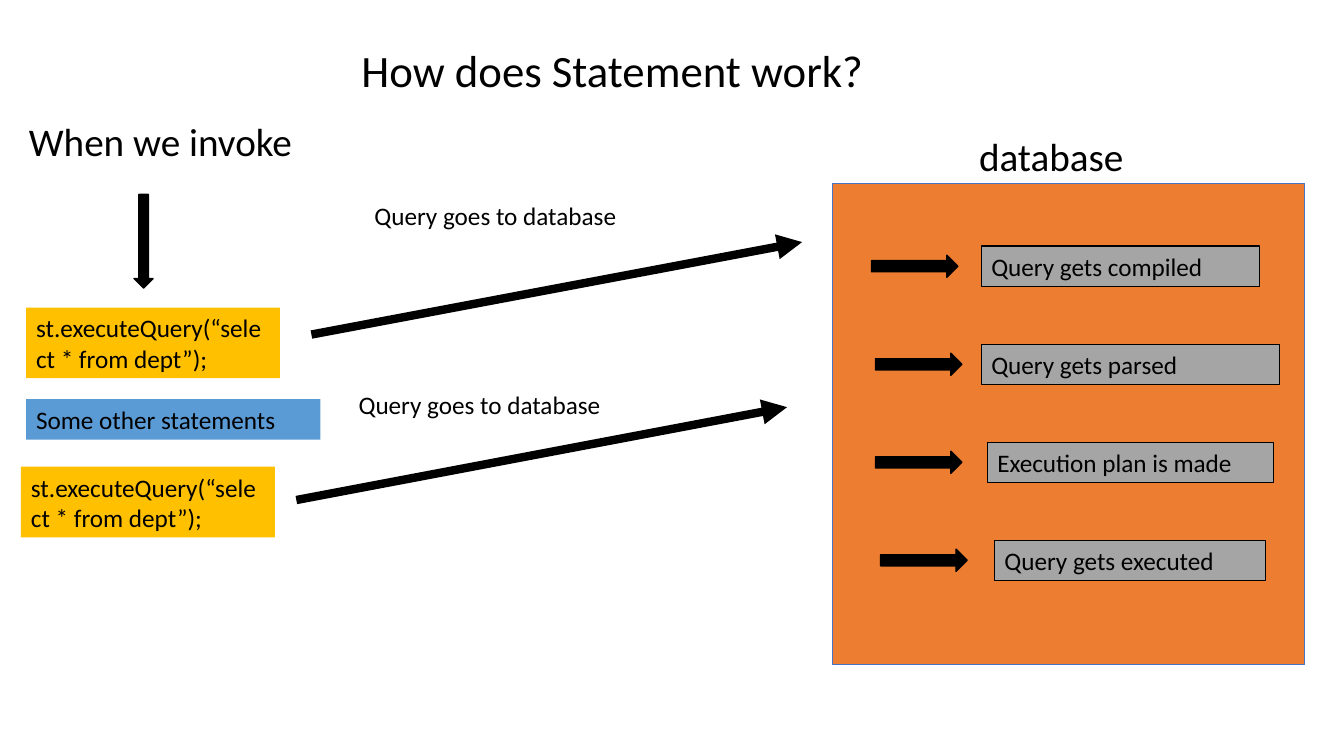
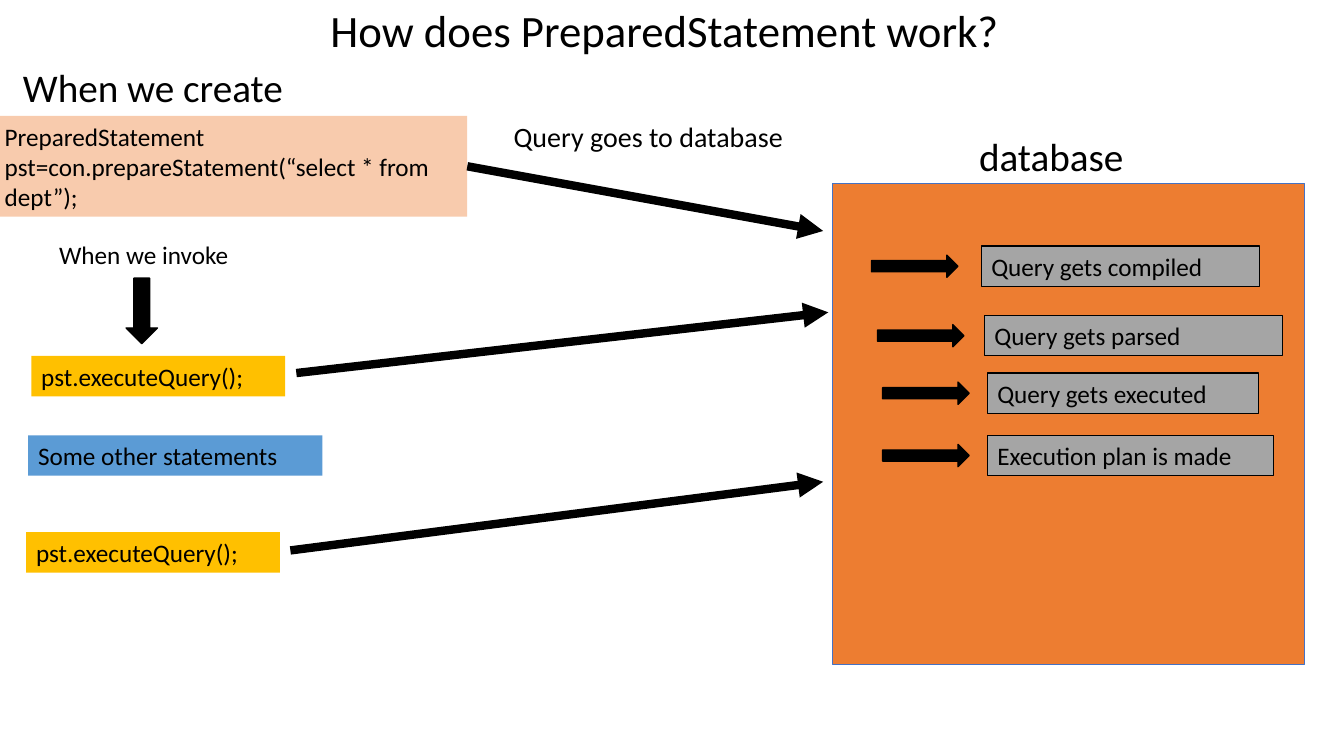
from lxml.etree import SubElement
from pptx import Presentation
from pptx.dml.color import RGBColor
from pptx.enum.shapes import MSO_CONNECTOR, MSO_SHAPE
from pptx.enum.text import MSO_ANCHOR, MSO_AUTO_SIZE, PP_ALIGN
from pptx.oxml.ns import qn
from pptx.util import Cm, Pt

# Shared look; all lengths are in centimetres
FONT = "Calibri"
BLACK, YELLOW, BLUE, PEACH = "000000", "FFC000", "5B9BD5", "F8CBAD"
GRAY, ORANGE, PANEL_LINE = "A5A5A5", "ED7D31", "4472C4"
TITLE_H, HEADING_H, ROW_H = 1.63, 1.45, 1.02
PANEL = (20.98, 4.62, 11.91, 12.12)
PANEL_LABEL = (24.43, 3.2, 6.05, HEADING_H)
STEP_ARROW_W, STEP_ARROW_H = 2.18, 0.56
STEP_TOP, STEP_PITCH = 6.2, 2.47

# Database steps and the widths of their boxes
STEP_WIDTHS = {
    "Query gets compiled": 7.01,
    "Query gets parsed": 7.52,
    "Execution plan is made": 7.21,
    "Query gets executed": 6.83,
}

EXECUTE = "st.executeQuery(“select * from dept”);"
PST_EXECUTE = "pst.executeQuery();"
PREPARE = "PreparedStatement pst=con.prepareStatement(“select * from dept”);"
OTHER = "Some other statements"
TO_DATABASE = "Query goes to database"

# texts: (text, box, size); code: (text, box, fill)
# steps: (text, box left, box top, arrow left)
# queries: (start point or index of the code box it leaves, end point)
SLIDES = [
    {
        "title": ("How does Statement work?", (8.86, 0.94, 14.1, TITLE_H)),
        "texts": [
            ("When we invoke", (0.48, 2.82, 7.77, HEADING_H), 28),
            (TO_DATABASE, (9.19, 4.93, 7.01, ROW_H), 18),
            (TO_DATABASE, (8.79, 9.68, 7.01, ROW_H), 18),
        ],
        "invoke_arrow": (3.38, 4.9, 0.48, 2.36),
        "code": [
            (EXECUTE, (0.66, 7.75, 6.4, 1.78), YELLOW),
            (OTHER, (0.66, 10.06, 7.42, ROW_H), BLUE),
            (EXECUTE, (0.53, 11.76, 6.4, 1.78), YELLOW),
        ],
        "queries": [
            ((7.85, 8.43), (20.22, 6.1)),
            ((7.47, 12.6), (19.84, 10.26)),
        ],
        "steps": [
            ("Query gets compiled", 24.74, STEP_TOP, 21.97),
            ("Query gets parsed", 24.74, STEP_TOP + STEP_PITCH, 22.07),
            ("Execution plan is made", 24.89, STEP_TOP + 2 * STEP_PITCH, 22.07),
            ("Query gets executed", 25.07, STEP_TOP + 3 * STEP_PITCH, 22.2),
        ],
    },
    {
        "title": ("How does PreparedStatement work?", (8.08, -0.05, 18.26, TITLE_H)),
        "texts": [
            ("When we create", (0.33, 1.47, 7.77, HEADING_H), 28),
            (TO_DATABASE, (12.7, 2.87, 8.46, 1.12), 20),
            ("When we invoke", (1.24, 5.89, 5.28, ROW_H), 18),
        ],
        "invoke_arrow": (3.18, 7.01, 0.79, 1.65),
        "code": [
            (PREPARE, (-0.13, 2.92, 11.91, 2.54), PEACH),
            (PST_EXECUTE, (0.79, 8.97, 6.4, ROW_H), YELLOW),
            (OTHER, (0.71, 10.97, 7.42, ROW_H), BLUE),
            (PST_EXECUTE, (0.66, 13.41, 6.4, ROW_H), YELLOW),
        ],
        "queries": [
            (0, (20.75, 5.82)),
            ((7.47, 9.4), (20.88, 7.87)),
            ((7.32, 13.87), (20.75, 12.14)),
        ],
        "steps": [
            ("Query gets compiled", 24.74, STEP_TOP, 21.97),
            ("Query gets parsed", 24.82, 7.95, 22.12),
            ("Query gets executed", 24.89, 9.4, 22.25),
            ("Execution plan is made", 24.89, 10.97, 22.25),
        ],
    },
]


def rgb(color):
    return RGBColor.from_string(color)


def cm(values):
    return [Cm(v) for v in values]


def write(sp, text, size):
    tf = sp.text_frame
    tf.word_wrap = True
    tf.auto_size = MSO_AUTO_SIZE.NONE
    tf.vertical_anchor = MSO_ANCHOR.TOP
    tf.margin_left = tf.margin_right = Cm(0.25)
    tf.margin_top = tf.margin_bottom = Cm(0.13)
    p = tf.paragraphs[0]
    p.text = text
    p.alignment = PP_ALIGN.LEFT
    p.line_spacing = 1.0
    p.space_before = Pt(0)
    p.font.name = FONT
    p.font.size = Pt(size)
    p.font.color.rgb = rgb(BLACK)


def add_title(s, text, box):
    sp = s.shapes.title
    sp.left, sp.top, sp.width, sp.height = cm(box)
    write(sp, text, 32)


def add_text(s, text, box, size):
    write(s.shapes.add_textbox(*cm(box)), text, size)


def add_block(s, kind, box, fill, line=None, line_width=0.75, text=None):
    sp = s.shapes.add_shape(kind, *cm(box))
    sp.shadow.inherit = False
    sp.fill.solid()
    sp.fill.fore_color.rgb = rgb(fill)
    if line:
        sp.line.color.rgb = rgb(line)
        sp.line.width = Pt(line_width)
    else:
        sp.line.fill.background()
    if text:
        write(sp, text, 18)
    return sp


def add_query_arrow(s, start, end, code_boxes):
    joined = isinstance(start, int)
    begin = (0, 0) if joined else start
    cx = s.shapes.add_connector(MSO_CONNECTOR.STRAIGHT, *cm(begin + end))
    if joined:
        cx.begin_connect(code_boxes[start], 3)
    cx.line.color.rgb = rgb(BLACK)
    cx.line.width = Pt(6)
    SubElement(cx.line._get_or_add_ln(), qn("a:tailEnd"), type="triangle")
    SubElement(cx._element.spPr, qn("a:effectLst"))


def add_database(s, steps):
    add_block(s, MSO_SHAPE.RECTANGLE, PANEL, ORANGE, PANEL_LINE)
    add_text(s, "database", PANEL_LABEL, 28)
    for text, left, top, arrow_left in steps:
        add_block(s, MSO_SHAPE.RECTANGLE, (left, top, STEP_WIDTHS[text], ROW_H),
                  GRAY, BLACK, text=text)
        arrow_top = top + (ROW_H - STEP_ARROW_H) / 2
        add_block(s, MSO_SHAPE.RIGHT_ARROW,
                  (arrow_left, arrow_top, STEP_ARROW_W, STEP_ARROW_H), BLACK, BLACK, 1)


def build_slide(prs, content):
    s = prs.slides.add_slide(prs.slide_layouts[5])
    add_title(s, *content["title"])
    add_database(s, content["steps"])
    # Calling code on the left
    for text, box, size in content["texts"]:
        add_text(s, text, box, size)
    add_block(s, MSO_SHAPE.DOWN_ARROW, content["invoke_arrow"], BLACK, BLACK, 1)
    code_boxes = [add_block(s, MSO_SHAPE.RECTANGLE, box, fill, text=text)
                  for text, box, fill in content["code"]]
    # Queries sent to the database
    for start, end in content["queries"]:
        add_query_arrow(s, start, end, code_boxes)


def main():
    prs = Presentation()
    prs.slide_width, prs.slide_height = Cm(33.88), Cm(19.05)
    for content in SLIDES:
        build_slide(prs, content)
    prs.save("out.pptx")


if __name__ == "__main__":
    main()
